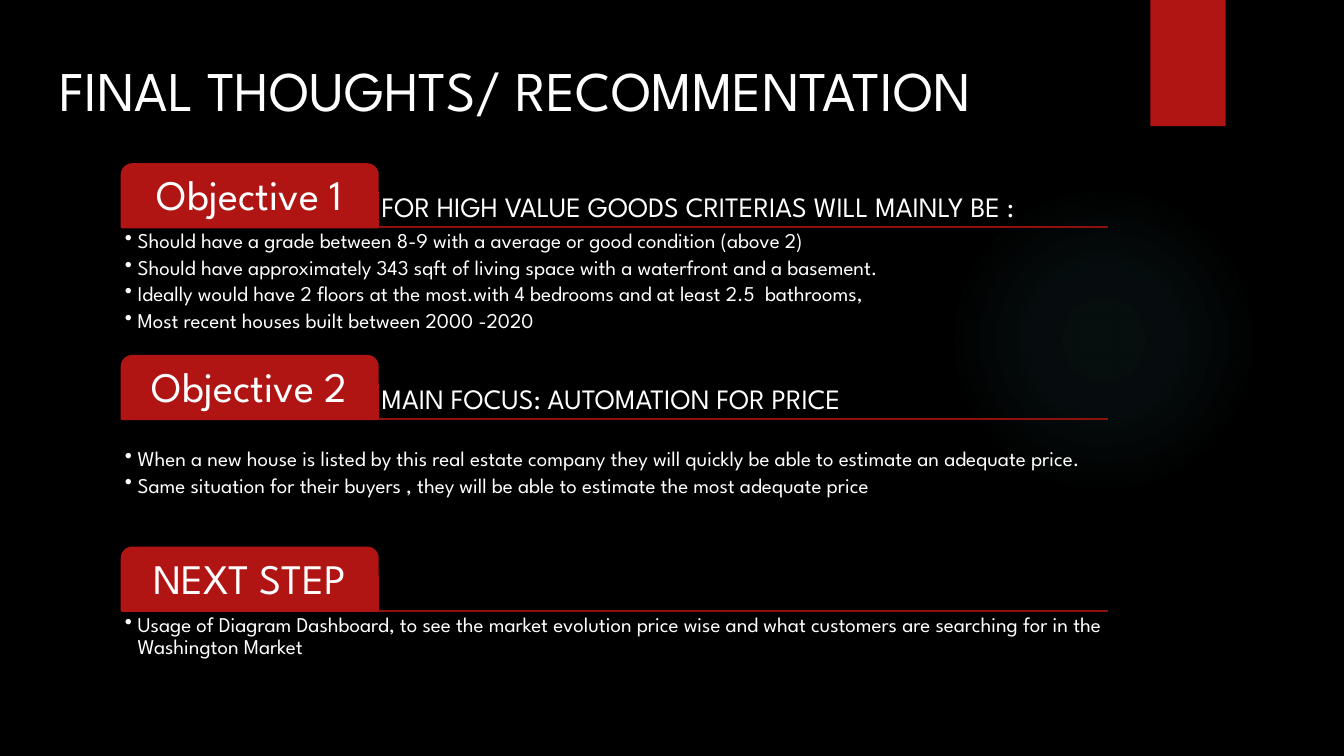
from lxml.etree import SubElement
from pptx import Presentation
from pptx.dml.color import RGBColor
from pptx.enum.shapes import MSO_CONNECTOR as Connector, MSO_SHAPE as Shape
from pptx.enum.text import MSO_ANCHOR as Anchor, PP_ALIGN as Align
from pptx.oxml import parse_xml
from pptx.oxml.ns import nsdecls, qn
from pptx.util import Cm, Pt

BLACK = RGBColor(0x00, 0x00, 0x00)
WHITE = RGBColor(0xFF, 0xFF, 0xFF)
RED = RGBColor(0xB0, 0x15, 0x13)
DARK_RED = RGBColor(0x8D, 0x11, 0x0F)
TEAL = RGBColor(0x50, 0xB9, 0xC1)

# Section layout, in centimetres
LEFT, WIDTH = 3.07, 24.84
FIRST_TOP, PITCH = 4.14, 4.83
TAG_WIDTH, TAG_HEIGHT = 6.45, 1.59
LIST_HEIGHT = 3.15

# Tag, heading, space above the list, bullets
SECTIONS = [
    ("Objective 1", "FOR HIGH VALUE GOODS CRITERIAS WILL MAINLY BE :", 0, [
        "Should have a grade between 8-9 with a average or good condition (above 2)",
        "Should have approximately 343 sqft of living space with a waterfront and a basement.",
        "Ideally would have 2 floors at the most.with 4 bedrooms and at least 2.5  bathrooms,",
        "Most recent houses built between 2000 -2020",
    ]),
    ("Objective 2", "MAIN FOCUS: AUTOMATION FOR PRICE", 0.66, [
        "When a new house is listed by this real estate company they will quickly "
        "be able to estimate an adequate price.",
        "Same situation for their buyers , they will be able to estimate the most adequate price",
    ]),
    ("NEXT STEP", None, 0, [
        "Usage of Diagram Dashboard, to see the market evolution price wise and what "
        "customers are searching for in the Washington Market",
    ]),
]


class SlideBuilder:
    font = "League Spartan"

    def __init__(self, page):
        self.page = page
        page.background.fill.solid()
        page.background.fill.fore_color.rgb = BLACK

    def set_text(self, box, lines, size, inset, anchor=Anchor.TOP, align=Align.LEFT, spacing=0.9):
        frame = box.text_frame
        frame.word_wrap = True
        frame.vertical_anchor = anchor
        frame.margin_left = frame.margin_right = Cm(inset)
        frame.margin_top = frame.margin_bottom = Cm(inset)
        frame.text = "\n".join(lines)
        for para in frame.paragraphs:
            para.alignment = align
            para.line_spacing = spacing
            para.font.name = self.font
            para.font.size = Pt(size)
            para.font.color.rgb = WHITE
        return frame

    def text(self, left, top, width, height, lines, size, inset, **style):
        box = self.page.shapes.add_textbox(Cm(left), Cm(top), Cm(width), Cm(height))
        return self.set_text(box, lines, size, inset, **style)

    def bullets(self, left, top, width, height, lines, gap):
        frame = self.text(left, top, width, height, lines, 15, 0.08)
        frame.margin_top = Cm(0.08 + gap)
        for para in frame.paragraphs:
            para.space_after = Pt(2.7)
            properties = para._p.get_or_add_pPr()
            properties.set("marL", str(Cm(0.32)))
            properties.set("indent", str(Cm(-0.32)))
            bullet = SubElement(properties, qn("a:buChar"), char="•")
            properties.find(qn("a:defRPr")).addprevious(bullet)

    def shape(self, kind, left, top, width, height, color):
        box = self.page.shapes.add_shape(kind, Cm(left), Cm(top), Cm(width), Cm(height))
        box.shadow.inherit = False
        box.fill.solid()
        box.fill.fore_color.rgb = color
        box.line.fill.background()
        return box

    def glow(self, left, top, size):
        circle = self.shape(Shape.OVAL, left, top, size, size, TEAL)
        stops = "".join(
            f'<a:gs pos="{place * 1000}"><a:srgbClr val="{TEAL}">'
            f'<a:alpha val="{alpha * 1000}"/></a:srgbClr></a:gs>'
            for place, alpha in ((0, 7), (36, 6), (69, 0)))
        gradient = parse_xml(
            f'<a:gradFill {nsdecls("a")}><a:gsLst>{stops}</a:gsLst><a:path path="circle">'
            '<a:fillToRect l="50000" t="50000" r="50000" b="50000"/></a:path></a:gradFill>')
        properties = circle._element.spPr
        properties.replace(properties.find(qn("a:solidFill")), gradient)

    def tag(self, left, top, width, height, label):
        box = self.shape(Shape.ROUND_2_SAME_RECTANGLE, left, top, width, height, RED)
        box.line.color.rgb = RED
        box.line.width = Pt(1.5)
        self.set_text(box, [label], 30, 0.15, anchor=Anchor.MIDDLE, align=Align.CENTER)

    def rule(self, left, right, level):
        line = self.page.shapes.add_connector(
            Connector.STRAIGHT, Cm(left), Cm(level), Cm(right), Cm(level))
        line.line.color.rgb = DARK_RED
        line.line.width = Pt(1.5)
        SubElement(line._element.spPr, qn("a:effectLst"))


def main():
    deck = Presentation()
    deck.slide_width, deck.slide_height = Cm(33.87), Cm(19.05)
    builder = SlideBuilder(deck.slides.add_slide(deck.slide_layouts[6]))

    # Backdrop and title
    builder.glow(23.9, 4.65, 7.82)
    builder.shape(Shape.RECTANGLE, 28.99, 0, 1.9, 3.18, RED)
    builder.text(1.24, 1.14, 29.36, 2.69, ["FINAL THOUGHTS/ RECOMMENTATION"], 40, 0.25,
                 spacing=1.0)

    # Sections
    for index, (label, heading, gap, points) in enumerate(SECTIONS):
        top = FIRST_TOP + index * PITCH
        base = top + TAG_HEIGHT
        builder.rule(LEFT, LEFT + WIDTH, base)
        if heading:
            builder.text(LEFT + TAG_WIDTH, top, WIDTH - TAG_WIDTH, TAG_HEIGHT,
                         [heading], 20, 0.1, anchor=Anchor.BOTTOM)
        builder.tag(LEFT, top, TAG_WIDTH, TAG_HEIGHT, label)
        builder.bullets(LEFT, base, WIDTH, LIST_HEIGHT, points, gap)

    deck.save("out.pptx")


if __name__ == "__main__":
    main()
